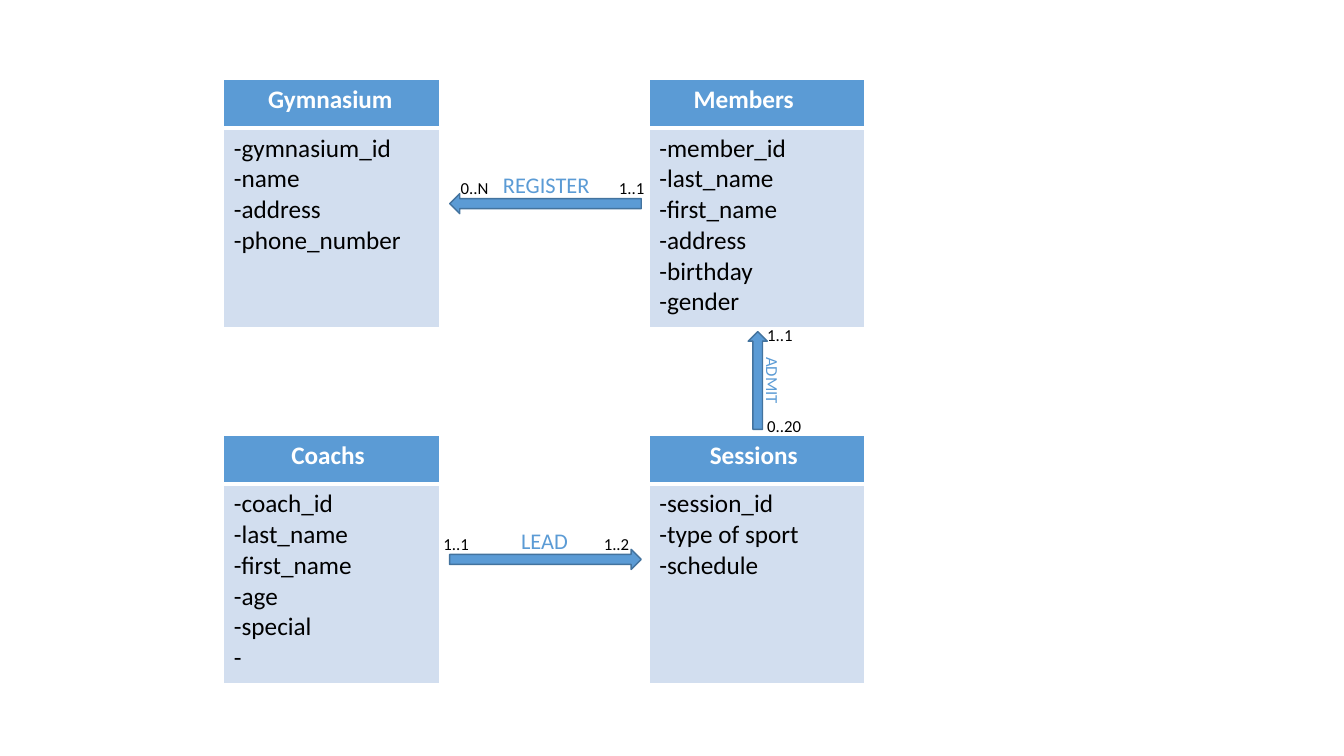
from lxml.etree import SubElement
from pptx import Presentation
from pptx.dml.color import RGBColor
from pptx.enum.shapes import MSO_SHAPE
from pptx.oxml.ns import qn
from pptx.util import Inches, Pt

COLORS = {"blue": "5B9BD5", "pale": "D2DEEF", "edge": "43739E",
          "white": "FFFFFF", "black": "000000"}
FONT = "Calibri"


def color(name):
    return RGBColor.from_string(COLORS[name])


def style(frame, size, name, bold=False):
    for para in frame.paragraphs:
        para.font.name = FONT
        para.font.size = Pt(size)
        para.font.bold = bold
        para.font.color.rgb = color(name)


def border(cell, widths):
    """Draw white borders; widths are left, right, top, bottom in points."""
    props = cell._tc.get_or_add_tcPr()
    for side, width in zip("LRTB", widths):
        line = SubElement(props, qn("a:ln" + side), w=str(Pt(width)))
        fill = SubElement(line, qn("a:solidFill"))
        SubElement(fill, qn("a:srgbClr"), val=COLORS["white"])


def entity(slide, box, title, indent, fields):
    """Place a table with a title row and a row of fields in the box."""
    left, top, width, height = box
    head = 0.48
    table = slide.shapes.add_table(2, 1, *map(Inches, box)).table
    table.horz_banding = False
    table.columns[0].width = Inches(width)
    rows = [(title, head, "blue", "white", True, (1, 1, 1, 3)),
            ("\n".join(fields), height - head, "pale", "black", False,
             (1, 1, 3, 1))]
    for i, (text, tall, back, ink, bold, widths) in enumerate(rows):
        table.rows[i].height = Inches(tall)
        cell = table.cell(i, 0)
        cell.text = text
        style(cell.text_frame, 18, ink, bold)
        border(cell, widths)
        cell.fill.solid()
        cell.fill.fore_color.rgb = color(back)
    table.cell(0, 0).margin_left = Inches(0.1 + indent)


def label(slide, box, text, size, ink, turn=0):
    shape = slide.shapes.add_textbox(*map(Inches, box))
    shape.rotation = turn
    frame = shape.text_frame
    frame.word_wrap = False
    frame.text = text
    style(frame, size, ink)


def link(slide, box, kind, turn, name, ends):
    """Place an arrow in the box, with its labels offset from the corner."""
    left, top, width, height = box
    arrow = slide.shapes.add_shape(kind, *map(Inches, box))
    arrow.rotation = turn
    arrow.shadow.inherit = False
    arrow.fill.solid()
    arrow.fill.fore_color.rgb = color("blue")
    arrow.line.color.rgb = color("edge")
    arrow.line.width = Pt(1)
    # Name of the relation
    text, x, y, wide, tall, size, spin = name
    label(slide, (left + x, top + y, wide, tall), text, size, "blue", spin)
    # Counts at both ends
    for text, x, y, wide in ends:
        label(slide, (left + x, top + y, wide, 0.3), text, 12, "black")


def diagram(slide, box):
    """Lay out four entities in a grid and link them."""
    left, top, width, height = box
    wide, tall = 2.14, 2.46
    right, low = left + width - wide, top + height - tall

    # Entities
    grid = [
        (left, top, "Gymnasium", 0.34,
         ["-gymnasium_id", "-name", "-address", "-phone_number"]),
        (right, top, "Members", 0.34,
         ["-member_id", "-last_name", "-first_name", "-address",
          "-birthday", "-gender"]),
        (left, low, "Coachs", 0.57,
         ["-coach_id", "-last_name", "-first_name", "-age", "-special", "-"]),
        (right, low, "Sessions", 0.5,
         ["-session_id", "-type of sport", "-schedule"]),
    ]
    for x, y, title, indent, fields in grid:
        entity(slide, (x, y, wide, tall), title, indent, fields)

    # Relations
    start = left + wide + 0.1
    span = right - start - 0.08
    drop = 1.13
    link(slide, (right + 0.98, top + tall + 0.04, 0.19, 0.97),
         MSO_SHAPE.UP_ARROW, 0,
         ("ADMIT", -0.09, 0.34, 0.67, 0.3, 12, 90),
         [("1..1", 0.09, -0.12, 0.46), ("0..20", 0.09, 0.79, 0.54)])
    link(slide, (start, low + drop, span, 0.2), MSO_SHAPE.RIGHT_ARROW, 0,
         ("LEAD", 0.61, -0.27, 0.67, 0.37, 16, 0),
         [("1..1", -0.16, -0.2, 0.46), ("1..2", 1.43, -0.2, 0.47)])
    link(slide, (start, top + drop, span, 0.2), MSO_SHAPE.RIGHT_ARROW, 180,
         ("REGISTER", 0.43, -0.27, 1.21, 0.37, 16, 0),
         [("1..1", 1.58, -0.21, 0.46), ("0..N", 0.01, -0.21, 0.48)])


deck = Presentation()
deck.slide_width, deck.slide_height = Inches(13.33), Inches(7.5)
page = deck.slides.add_slide(deck.slide_layouts[6])
diagram(page, (2.22, 0.79, 6.36, 5.99))
deck.save("out.pptx")
